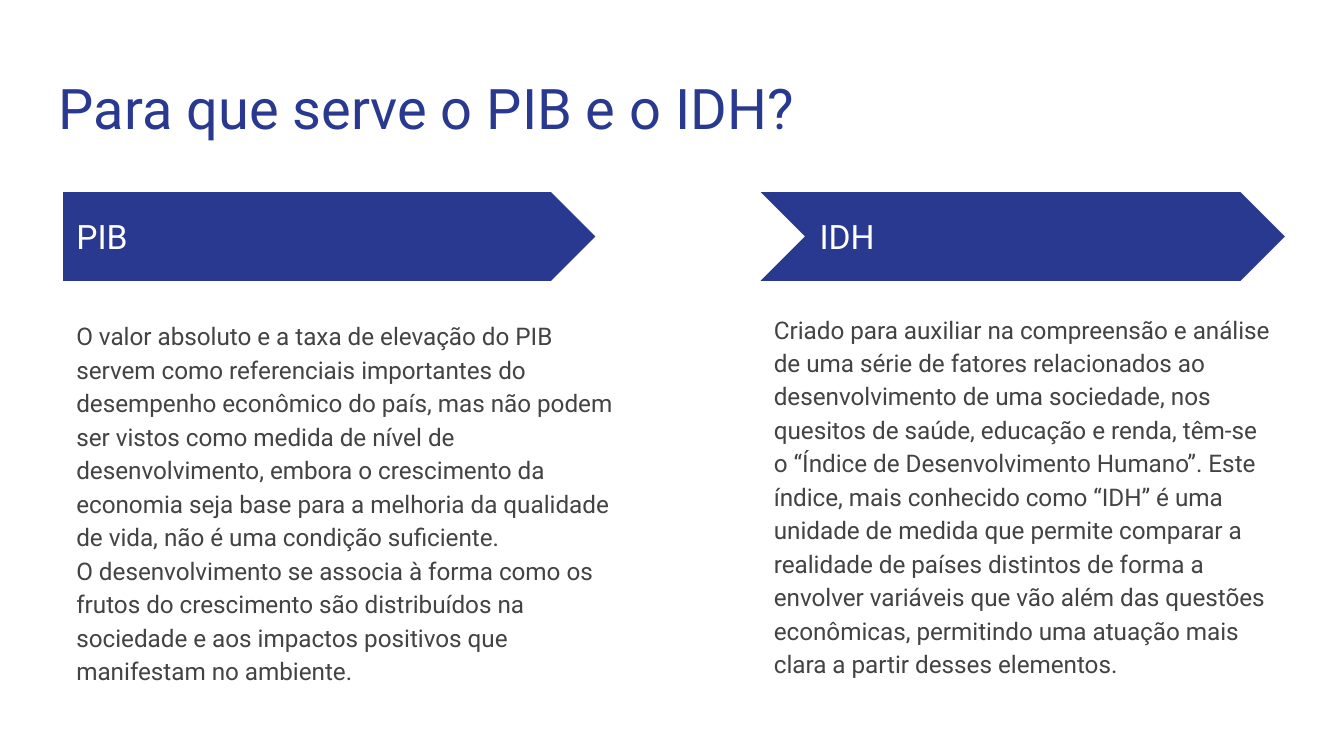
from pptx import Presentation
from pptx.dml.color import RGBColor
from pptx.enum.shapes import MSO_SHAPE
from pptx.enum.text import MSO_ANCHOR
from pptx.util import Inches, Pt

BLUE, WHITE, GRAY = "2A3990", "FFFFFF", "434343"


def rgb(code):
    return RGBColor.from_string(code)


def add_text(slide, box, lines, size, color, anchor=MSO_ANCHOR.TOP, spacing=None):
    frame = slide.shapes.add_textbox(*map(Inches, box)).text_frame
    frame.word_wrap = True
    frame.vertical_anchor = anchor
    frame.margin_left = frame.margin_right = Inches(0.1)
    frame.margin_top = frame.margin_bottom = Inches(0.1)
    frame.text = "\n".join(lines)
    for para in frame.paragraphs:
        if spacing:
            para.line_spacing = spacing
        for run in para.runs:
            run.font.name = "Roboto"
            run.font.size = Pt(size)
            run.font.color.rgb = rgb(color)


# Widescreen 16:9 slide
prs = Presentation()
prs.slide_width = Inches(10)
prs.slide_height = Inches(10) * 9 // 16
slide = prs.slides.add_slide(prs.slide_layouts[6])

# Title
add_text(slide, (0.34, 0.45, 9.32, 0.66), ["Para que serve o PIB e o IDH?"], 30, BLUE)

# Columns: shape, left, arrow width, label, label left, body top, body width, body
columns = [
    (MSO_SHAPE.PENTAGON, 0.47, 3.96, "PIB", 0.47, 2.26, 4.33, [
        "O valor absoluto e a taxa de elevação do PIB servem como referenciais "
        "importantes do desempenho econômico do país, mas não podem ser vistos "
        "como medida de nível de desenvolvimento, embora o crescimento da "
        "economia seja base para a melhoria da qualidade de vida, não é uma "
        "condição suficiente.",
        "O desenvolvimento se associa à forma como os frutos do crescimento são "
        "distribuídos na sociedade e aos impactos positivos que manifestam no "
        "ambiente.",
    ]),
    (MSO_SHAPE.CHEVRON, 5.66, 3.9, "IDH", 6, 2.21, 3.9, [
        "Criado para auxiliar na compreensão e análise de uma série de fatores "
        "relacionados ao desenvolvimento de uma sociedade, nos quesitos de "
        "saúde, educação e renda, têm-se o “Índice de Desenvolvimento Humano”. "
        "Este índice, mais conhecido como “IDH” é uma unidade de medida que "
        "permite comparar a realidade de países distintos de forma a envolver "
        "variáveis que vão além das questões econômicas, permitindo uma atuação "
        "mais clara a partir desses elementos.",
    ]),
]

for kind, left, wide, label, label_left, top, body_wide, body in columns:
    # Arrow banner with its label
    arrow = slide.shapes.add_shape(
        kind, Inches(left), Inches(1.43), Inches(wide), Inches(0.66))
    arrow.adjustments[0] = 0.5
    arrow.shadow.inherit = False
    arrow.fill.solid()
    arrow.fill.fore_color.rgb = rgb(BLUE)
    arrow.line.fill.background()
    add_text(slide, (label_left, 1.59, 2.47, 0.34), [label], 18, WHITE,
             anchor=MSO_ANCHOR.MIDDLE)

    # Body text
    add_text(slide, (left, top, body_wide, 3.1), body, 13, GRAY, spacing=1.15)

prs.save("out.pptx")
